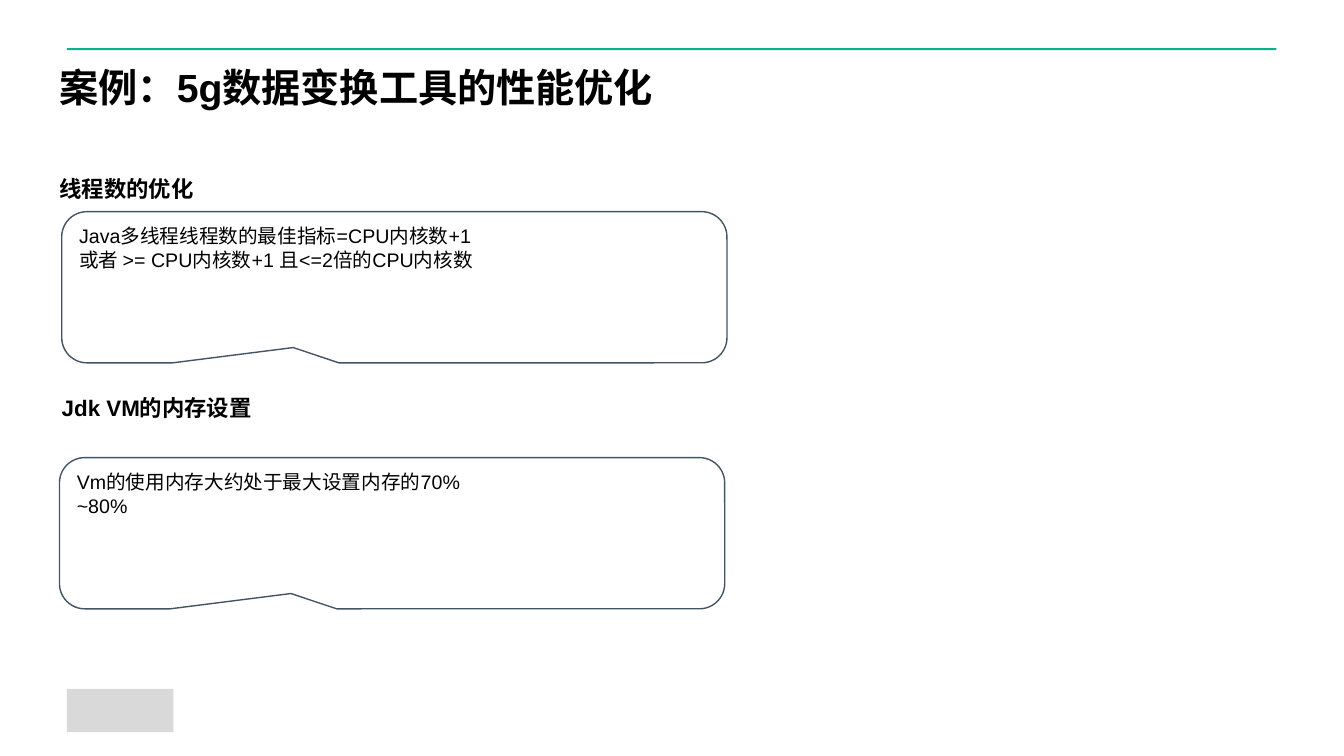
import pptx
import pptx.dml.color
import pptx.enum.shapes
import pptx.enum.text
import pptx.util

Pt = pptx.util.Pt
SHAPE = pptx.enum.shapes.MSO_SHAPE
FONT = "Arial"
COLORS = {
    "accent": "00B388",
    "outline": "425563",
    "text": "000000",
    "paper": "FFFFFF",
    "mark": "D9D9D9",
}


def color(name):
    return pptx.dml.color.RGBColor.from_string(COLORS[name])


def write(tf, text, size=14, bold=False, spacing=None, inset=None):
    """Fill a text frame, one paragraph per line of text."""
    tf.word_wrap = True
    tf.vertical_anchor = pptx.enum.text.MSO_ANCHOR.TOP
    if inset is not None:
        tf.margin_left = tf.margin_right = Pt(inset)
        tf.margin_top = tf.margin_bottom = Pt(inset)
    for i, line in enumerate(text.split("\n")):
        p = tf.paragraphs[0] if i == 0 else tf.add_paragraph()
        p.alignment = pptx.enum.text.PP_ALIGN.LEFT
        if spacing:
            p.line_spacing = spacing
        r = p.add_run()
        r.text = line
        r.font.name = FONT
        r.font.size = Pt(size)
        r.font.bold = bold
        r.font.color.rgb = color("text")


def add_block(s, kind, x, y, w, h, fill, line=None):
    sp = s.shapes.add_shape(kind, Pt(x), Pt(y), Pt(w), Pt(h))
    sp.shadow.inherit = False
    sp.fill.solid()
    sp.fill.fore_color.rgb = color(fill)
    if line:
        sp.line.color.rgb = color(line)
        sp.line.width = Pt(1)
    else:
        sp.line.fill.background()
    return sp


def add_heading(s, x, y, w, h, text, size):
    tb = s.shapes.add_textbox(Pt(x), Pt(y), Pt(w), Pt(h))
    write(tb.text_frame, text, size=size, bold=True, spacing=0.9, inset=0)


def add_frame(s, x, y, w, h):
    # Rule across the top, plain mark at the bottom left
    add_block(s, SHAPE.RECTANGLE, x, y, w, 1.4, "accent")
    add_block(s, SHAPE.RECTANGLE, x, y + h - 31, 76, 31, "mark")


def add_section(s, x, y, w, h, heading, body, indent, gap):
    # Heading, then a callout that fills the rest of the box
    add_heading(s, x + indent[0], y, 488, 18, heading, 16)
    sp = add_block(s, SHAPE.ROUNDED_RECTANGULAR_CALLOUT,
                   x + indent[1], y + gap, w, h - gap, "paper", "outline")
    for i, value in enumerate((-0.152, 0.399, 0.167)):
        sp.adjustments[i] = value
    write(sp.text_frame, body)


def main():
    prs = pptx.Presentation()
    prs.slide_width, prs.slide_height = Pt(960), Pt(540)
    s = prs.slides.add_slide(prs.slide_layouts[6])
    left = 42.5

    add_frame(s, 47.8, 34.4, 864, 488.6)
    add_heading(s, left, 49, 488, 34, "案例：5g数据变换工具的性能优化", 28)
    add_section(
        s, left, 127.4, 475.2, 131.8, "线程数的优化",
        "Java多线程线程数的最佳指标=CPU内核数+1\n"
        "或者 >= CPU内核数+1 且<=2倍的CPU内核数",
        indent=(0, 1.6), gap=23.8)
    add_section(
        s, left, 283.7, 475.2, 151.2, "Jdk VM的内存设置",
        "Vm的使用内存大约处于最大设置内存的70%\n~80%",
        indent=(1.6, 0), gap=43.2)

    prs.save("out.pptx")


if __name__ == "__main__":
    main()
